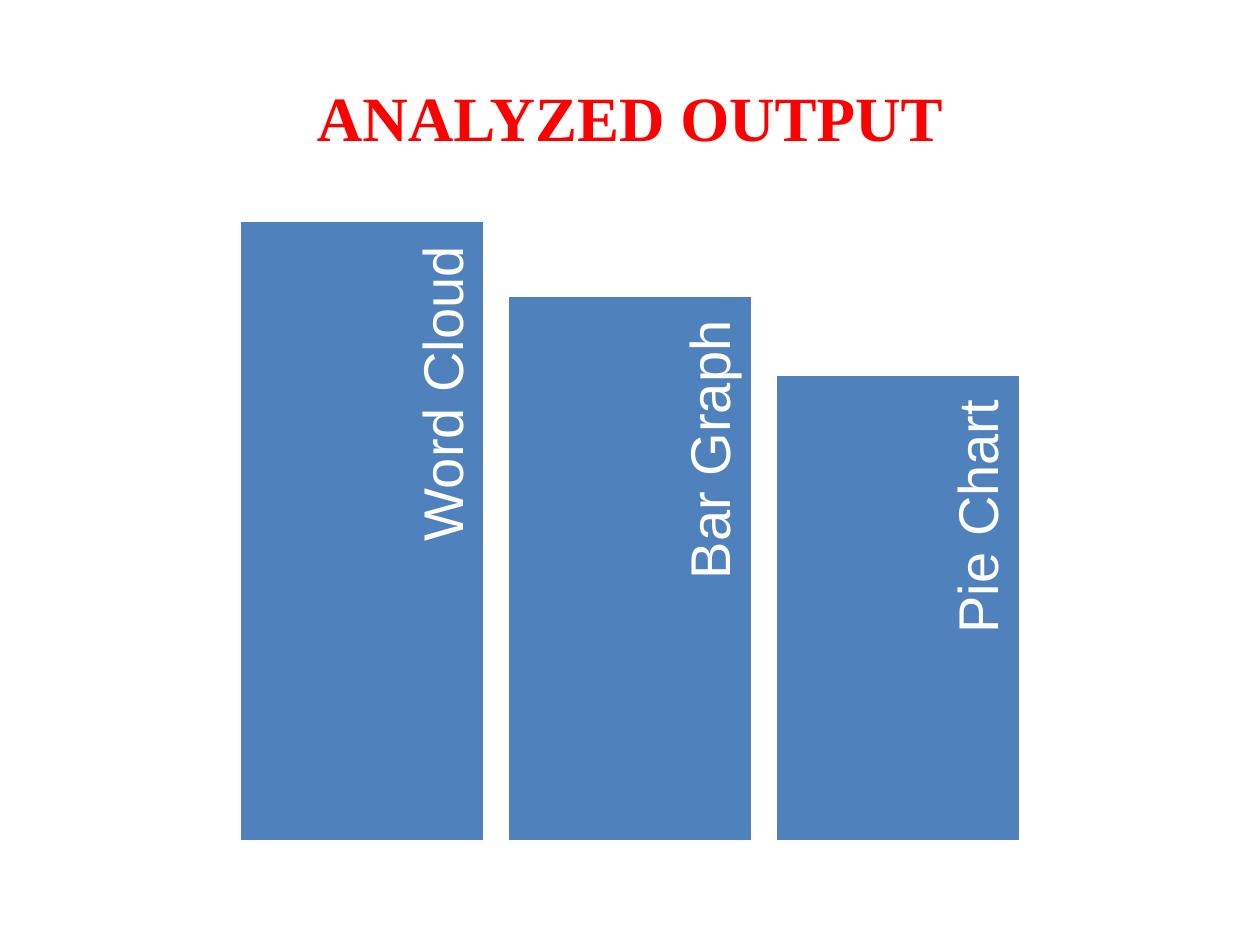
"""Build the slide of three descending bars that names the analyzed outputs."""
from dataclasses import dataclass

from pptx import Presentation
from pptx.dml.color import RGBColor
from pptx.enum.shapes import MSO_SHAPE
from pptx.enum.text import MSO_ANCHOR, PP_ALIGN
from pptx.util import Cm, Pt

RECTANGLE = MSO_SHAPE.RECTANGLE
MIDDLE = MSO_ANCHOR.MIDDLE
CENTER, RIGHT = PP_ALIGN.CENTER, PP_ALIGN.RIGHT


@dataclass(frozen=True)
class Theme:
    heading_color: RGBColor = RGBColor(0xFF, 0x00, 0x00)
    bar_color: RGBColor = RGBColor(0x4F, 0x81, 0xBD)
    light: RGBColor = RGBColor(0xFF, 0xFF, 0xFF)
    heading_font: str = "Times New Roman"
    label_font: str = "Arial"
    heading_size: Pt = Pt(36)
    label_size: Pt = Pt(32)
    outline: Pt = Pt(2)


class SlideBuilder:
    def __init__(self, slide, theme):
        self.slide = slide
        self.theme = theme

    def text(self, wording, box, insets, align, font, size, color, bold=False):
        holder = self.slide.shapes.add_textbox(*map(Cm, box))
        frame = holder.text_frame
        frame.text = wording
        frame.word_wrap = True
        frame.vertical_anchor = MIDDLE
        (frame.margin_left, frame.margin_top,
         frame.margin_right, frame.margin_bottom) = map(Cm, insets)
        paragraph = frame.paragraphs[0]
        paragraph.alignment = align
        style = paragraph.runs[0].font
        style.name, style.size, style.bold = font, size, bold
        style.color.rgb = color
        return holder

    def heading(self, wording, box):
        theme = self.theme
        self.text(wording, box, (0.25,) * 4, CENTER, theme.heading_font,
                  theme.heading_size, theme.heading_color, bold=True)

    def bar(self, left, top, width, height):
        bar = self.slide.shapes.add_shape(RECTANGLE, *map(Cm, (left, top, width, height)))
        bar.shadow.inherit = False
        bar.fill.solid()
        bar.fill.fore_color.rgb = self.theme.bar_color
        bar.line.color.rgb = self.theme.light
        bar.line.width = self.theme.outline

    def upright_label(self, wording, center_x, top, length, thickness=1.3):
        theme = self.theme
        box = (center_x - length / 2, top + (length - thickness) / 2, length, thickness)
        label = self.text(wording, box, (0.33, 0, 0.51, 0.1), RIGHT,
                          theme.label_font, theme.label_size, theme.light)
        label.rotation = 270
        label.text_frame.paragraphs[0].line_spacing = 0.9


def main():
    deck = Presentation()
    deck.slide_width, deck.slide_height = Cm(25.4), Cm(19.05)
    builder = SlideBuilder(deck.slides.add_slide(deck.slide_layouts[6]), Theme())
    builder.heading("ANALYZED OUTPUT", (1.27, 0.76, 22.86, 3.18))

    outputs = [("Word Cloud", 12.52), ("Bar Graph", 11.02), ("Pie Chart", 9.42)]
    first_left, pitch, bar_width, baseline = 4.83, 5.4, 4.95, 16.97
    label_offset, label_share = 4.19, 0.9
    for index, (output, height) in enumerate(outputs):
        left, top = first_left + index * pitch, baseline - height
        builder.bar(left, top, bar_width, height)
        builder.upright_label(output, left + label_offset, top, height * label_share)

    deck.save("out.pptx")


if __name__ == "__main__":
    main()
